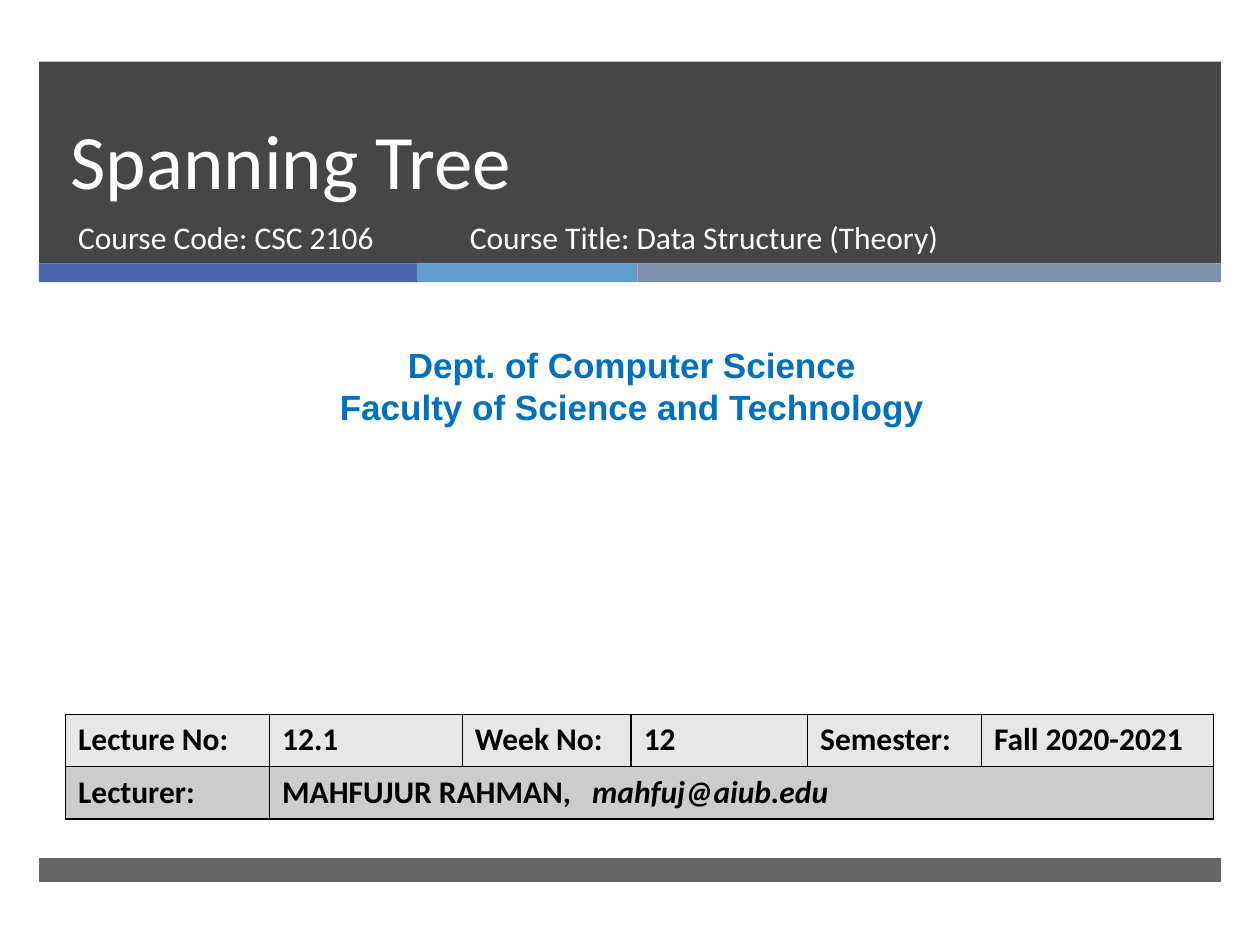
from dataclasses import dataclass

from lxml.etree import SubElement
from pptx import Presentation
from pptx.dml.color import RGBColor
from pptx.enum.shapes import MSO_SHAPE
from pptx.enum.text import MSO_ANCHOR, MSO_AUTO_SIZE, PP_ALIGN
from pptx.oxml import parse_xml
from pptx.oxml.ns import nsdecls, qn
from pptx.util import Inches, Pt


@dataclass(frozen=True)
class Theme:
    dark: str = "262626"
    stripes: tuple = ("4A66AC", "629DD1", "7F8FA9")
    light: str = "FFFFFF"
    ink: str = "000000"
    accent: str = "0070C0"
    rows: tuple = ("E7E7E7", "CCCCCC")
    body_font: str = "Calibri"
    heading_font: str = "Arial"
    title_size: int = 44
    heading_size: int = 20
    body_size: int = 18


THEME = Theme()
LEFT, WIDTH = 0.31, 9.38


def place(shape, left, top, width, height):
    shape.left, shape.top = Inches(left), Inches(top)
    shape.width, shape.height = Inches(width), Inches(height)


def write(para, text, *, size=THEME.body_size, font=THEME.body_font, color=THEME.light,
          bold=False, italic=False, align=PP_ALIGN.LEFT):
    para.alignment = align
    para.space_before = Pt(0)
    span = para.add_run()
    span.text = text
    span.font.size, span.font.name = Pt(size), font
    span.font.bold, span.font.italic = bold, italic
    span.font.color.rgb = RGBColor.from_string(color)


def prepare_frame(shape, anchor=MSO_ANCHOR.TOP, auto_size=MSO_AUTO_SIZE.NONE):
    frame = shape.text_frame
    frame.word_wrap = True
    frame.auto_size = auto_size
    frame.vertical_anchor = anchor
    return frame


def add_bar(page, left, top, width, height, color, opacity=100):
    bar = page.shapes.add_shape(MSO_SHAPE.RECTANGLE, Inches(left), Inches(top),
                                Inches(width), Inches(height))
    bar.shadow.inherit = False
    bar.line.fill.background()
    bar.fill.solid()
    bar.fill.fore_color.rgb = RGBColor.from_string(color)
    if opacity < 100:
        fill_color = bar.element.spPr.find(qn("a:solidFill"))[0]
        SubElement(fill_color, qn("a:alpha"), val=str(opacity * 1000))


def add_text_box(page, left, top, width, height, auto_size=MSO_AUTO_SIZE.NONE):
    box = page.shapes.add_textbox(Inches(left), Inches(top), Inches(width), Inches(height))
    return prepare_frame(box, auto_size=auto_size)


def add_backdrop(page):
    add_bar(page, LEFT, 0.49, WIDTH, 1.6, THEME.dark, opacity=85)
    left = LEFT
    for width, color in zip((3, 1.75, 4.63), THEME.stripes):
        add_bar(page, left, 2.09, width, 0.15, color)
        left += width
    add_bar(page, LEFT, 6.81, WIDTH, 0.19, THEME.dark, opacity=70)


def add_titles(page):
    title, subtitle = page.shapes.title, page.placeholders[1]
    # Placeholders come first in the layout, so raise them above the backdrop
    for placeholder in (title, subtitle):
        placeholder.element.getparent().append(placeholder.element)

    place(title, 0.46, 0.49, 8.54, 1.19)
    para = prepare_frame(title, MSO_ANCHOR.BOTTOM).paragraphs[0]
    para.line_spacing = Pt(46)
    write(para, "Spanning Tree", size=THEME.title_size)

    place(subtitle, 0.52, 1.68, 3.05, 0.53)
    write(prepare_frame(subtitle).paragraphs[0], "Course Code: CSC 2106")

    course = add_text_box(page, 3.63, 1.68, 4.55, 0.53)
    write(course.paragraphs[0], "Course Title: Data Structure (Theory)")


def add_department(page):
    frame = add_text_box(page, 0.08, 2.68, 9.87, 0.77, MSO_AUTO_SIZE.SHAPE_TO_FIT_TEXT)
    lines = ("Dept. of Computer Science", "Faculty of Science and Technology")
    for number, line in enumerate(lines):
        para = frame.add_paragraph() if number else frame.paragraphs[0]
        write(para, line, size=THEME.heading_size, font=THEME.heading_font,
              color=THEME.accent, bold=True, align=PP_ALIGN.CENTER)


def style_cell(cell, color):
    cell.fill.solid()
    cell.fill.fore_color.rgb = RGBColor.from_string(color)
    properties = cell._tc.get_or_add_tcPr()
    for index, side in enumerate(("lnL", "lnR", "lnT", "lnB")):
        border = parse_xml(
            f'<a:{side} {nsdecls("a")} w="{Pt(1)}"><a:solidFill>'
            f'<a:srgbClr val="{THEME.ink}"/></a:solidFill></a:{side}>')
        properties.insert(index, border)


def add_lecture_table(page):
    widths = (1.62, 1.53, 1.34, 1.4, 1.38, 1.84)
    rows = (("Lecture No:", "12.1", "Week No:", "12", "Semester:", "Fall 2020-2021"),
            ("Lecturer:", "MAHFUJUR RAHMAN,"))
    height = 0.415
    table = page.shapes.add_table(len(rows), len(widths), Inches(0.52), Inches(5.67),
                                  Inches(sum(widths)), Inches(height * len(rows))).table
    for column, width in zip(table.columns, widths):
        column.width = Inches(width)
    for row, color in zip(table.rows, THEME.rows):
        for cell in row.cells:
            style_cell(cell, color)
    table.cell(1, 1).merge(table.cell(1, len(widths) - 1))

    # A tab stop sets the e-mail address apart from the name
    lecturer = table.cell(1, 1).text_frame.paragraphs[0]
    tabs = SubElement(lecturer._p.get_or_add_pPr(), qn("a:tabLst"))
    SubElement(tabs, qn("a:tab"), pos=str(Inches(2.46)), algn="l")

    for row_number, texts in enumerate(rows):
        for column_number, text in enumerate(texts):
            para = table.cell(row_number, column_number).text_frame.paragraphs[0]
            write(para, text, color=THEME.ink, bold=True)
    write(lecturer, "\tmahfuj@aiub.edu", color=THEME.ink, bold=True, italic=True)


def main():
    deck = Presentation()
    deck.slide_width, deck.slide_height = Inches(10), Inches(7.5)
    page = deck.slides.add_slide(deck.slide_layouts[0])
    add_backdrop(page)
    add_titles(page)
    add_department(page)
    add_lecture_table(page)
    deck.save("out.pptx")


if __name__ == "__main__":
    main()
